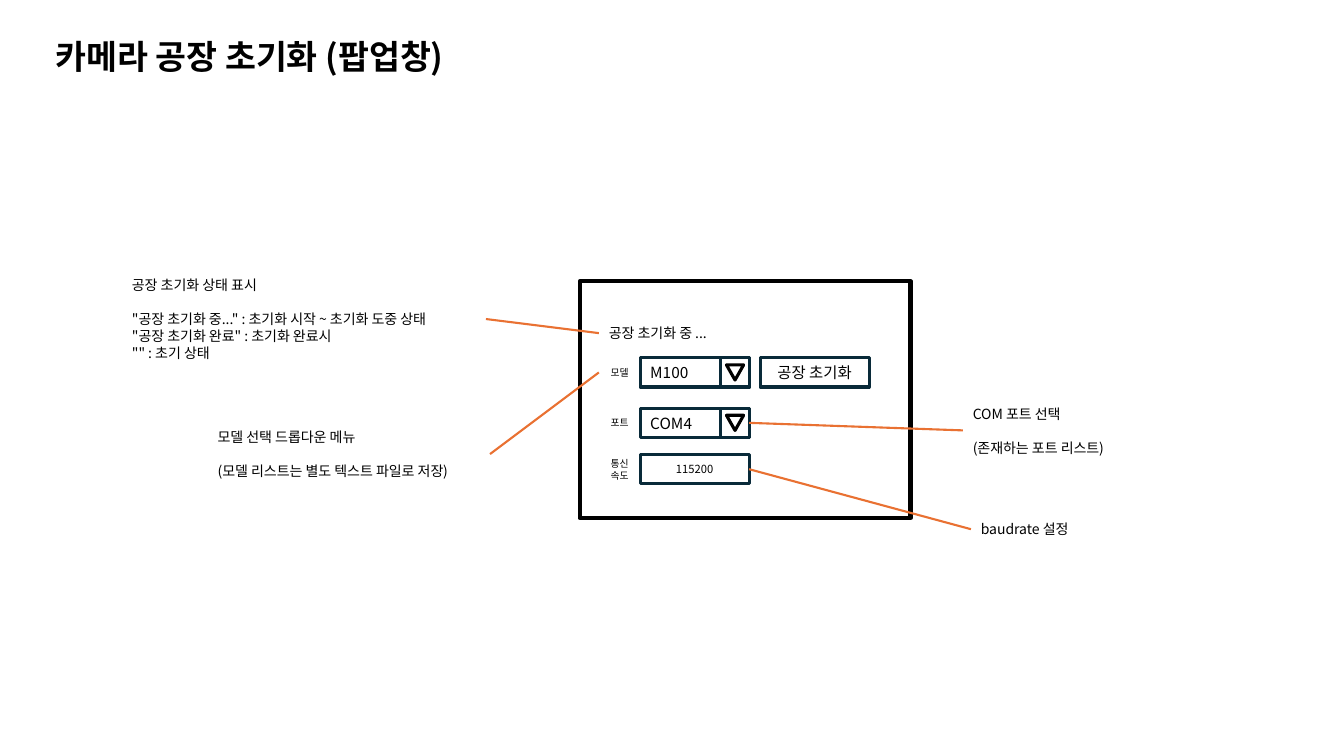
from pptx import Presentation
from pptx import util as u
from pptx.dml.color import RGBColor
from pptx.enum import shapes, text
from pptx.oxml import ns
from lxml import etree

BLACK = RGBColor(0x00, 0x00, 0x00)
NAVY = RGBColor(0x09, 0x2A, 0x39)
ORANGE = RGBColor(0xE9, 0x71, 0x32)
LEFT, CENTER = text.PP_ALIGN.LEFT, text.PP_ALIGN.CENTER
LEFT_SIDE, RIGHT_SIDE = 1, 3
LEADING = 1.21


def grid(cells):
    """Length of a number of grid cells, ten to the inch."""
    return u.Inches(cells / 10)


class Mockup:
    font = "Noto Sans CJK KR"
    field_w, field_h = 10.8, 2.9
    label_x, field_x, label_w = 59.4, 63.5, 4.1

    def __init__(self, slide):
        self.s = slide

    def add_lines(self, sp, lines, size, align=LEFT, bold=False, gap_after_first=False):
        tf = sp.text_frame
        tf.word_wrap = True
        tf.vertical_anchor = text.MSO_ANCHOR.MIDDLE
        for i, line in enumerate(lines):
            p = tf.add_paragraph() if i else tf.paragraphs[0]
            p.alignment = align
            p.line_spacing = u.Pt(size * LEADING)
            if gap_after_first and i == 1:
                p.space_before = u.Pt(size * LEADING)
            r = p.add_run()
            r.text = line
            r.font.name = self.font
            r.font.size = u.Pt(size)
            r.font.bold = bold
            r.font.color.rgb = BLACK
            ea = etree.SubElement(r.font._element, ns.qn("a:ea"))
            ea.set("typeface", self.font)

    def label(self, x, y, w, h, lines, size, **style):
        sp = self.s.shapes.add_textbox(*map(grid, (x, y, w, h)))
        self.add_lines(sp, lines, size, **style)
        return sp

    def outline(self, x, y, w, h, color=NAVY, width=2.25,
                kind=shapes.MSO_SHAPE.RECTANGLE):
        sp = self.s.shapes.add_shape(kind, *map(grid, (x, y, w, h)))
        sp.shadow.inherit = False
        sp.fill.background()
        sp.line.color.rgb = color
        sp.line.width = u.Pt(width)
        return sp

    def field(self, x, y, caption, size=11, align=LEFT):
        sp = self.outline(x, y, self.field_w, self.field_h)
        self.add_lines(sp, [caption], size, align)
        return sp

    def field_label(self, y, caption):
        return self.label(self.label_x, y, self.label_w, self.field_h,
                          [caption], 7, align=CENTER)

    def dropdown(self, y, value):
        """Draw a field with an arrow button and return the button."""
        self.field(self.field_x, y, value)
        button_x = self.field_x + self.field_w - 2.8
        button = self.outline(button_x, y, 2.8, self.field_h)
        arrow = self.outline(button_x + 0.55, y + 0.7, 1.7, 1.5, BLACK,
                             kind=shapes.MSO_SHAPE.ISOSCELES_TRIANGLE)
        arrow.rotation = 180
        return button

    def callout(self, start, end):
        """Join the right side of start to the left side of end."""
        line = self.s.shapes.add_connector(shapes.MSO_CONNECTOR.STRAIGHT, 0, 0, 0, 0)
        line.begin_connect(start, RIGHT_SIDE)
        line.end_connect(end, LEFT_SIDE)
        line.line.color.rgb = ORANGE
        line.line.width = u.Pt(1.5)
        etree.SubElement(line._element.spPr, ns.qn("a:effectLst"))


def main():
    prs = Presentation()
    prs.slide_width, prs.slide_height = u.Inches(13.33), u.Inches(7.5)
    m = Mockup(prs.slides.add_slide(prs.slide_layouts[6]))

    m.label(4.5, 3, 45, 5, ["카메라 공장 초기화 (팝업창)"], 24, bold=True)

    m.outline(57.5, 27.9, 32.8, 23.5, BLACK, 3)
    status = m.label(m.label_x, 31.6, 14.4, m.field_h, ["공장 초기화 중 ..."], 10)

    model_y, port_y, speed_y = 35.5, 40.5, 45.1
    model = m.field_label(model_y, "모델")
    m.field_label(port_y, "포트")
    m.field_label(speed_y, "통신속도")
    m.dropdown(model_y, "M100")
    port = m.dropdown(port_y, "COM4")
    speed = m.field(m.field_x, speed_y, "115200", 8, CENTER)
    m.field(75.4, model_y, "공장 초기화", align=CENTER)

    status_note = m.label(12.1, 24.7, 36.1, 13.9, [
        "공장 초기화 상태 표시",
        '"공장 초기화 중..." : 초기화 시작 ~ 초기화 도중 상태',
        '"공장 초기화 완료" : 초기화 완료시',
        '"" : 초기 상태',
    ], 10, gap_after_first=True)
    model_note = m.label(20.6, 40.8, 28, 8.5, [
        "모델 선택 드롭다운 메뉴",
        "(모델 리스트는 별도 텍스트 파일로 저장)",
    ], 10, gap_after_first=True)
    port_note = m.label(95.5, 39.5, 18, 6.4, [
        "COM 포트 선택",
        "(존재하는 포트 리스트)",
    ], 10, gap_after_first=True)
    speed_note = m.label(96.3, 49.3, 18, 6.4, ["baudrate 설정"], 10)

    for start, end in ((status_note, status), (model_note, model),
                       (port, port_note), (speed, speed_note)):
        m.callout(start, end)

    prs.save("out.pptx")


if __name__ == "__main__":
    main()
